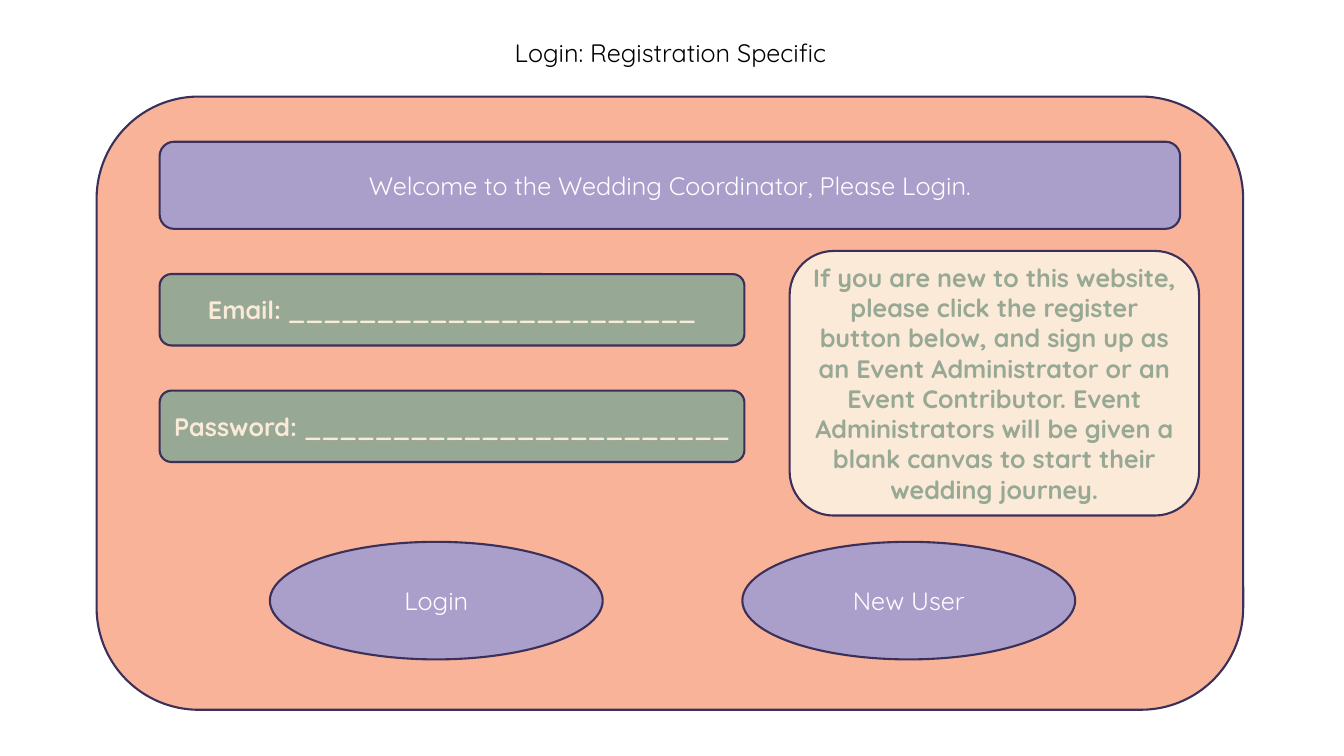
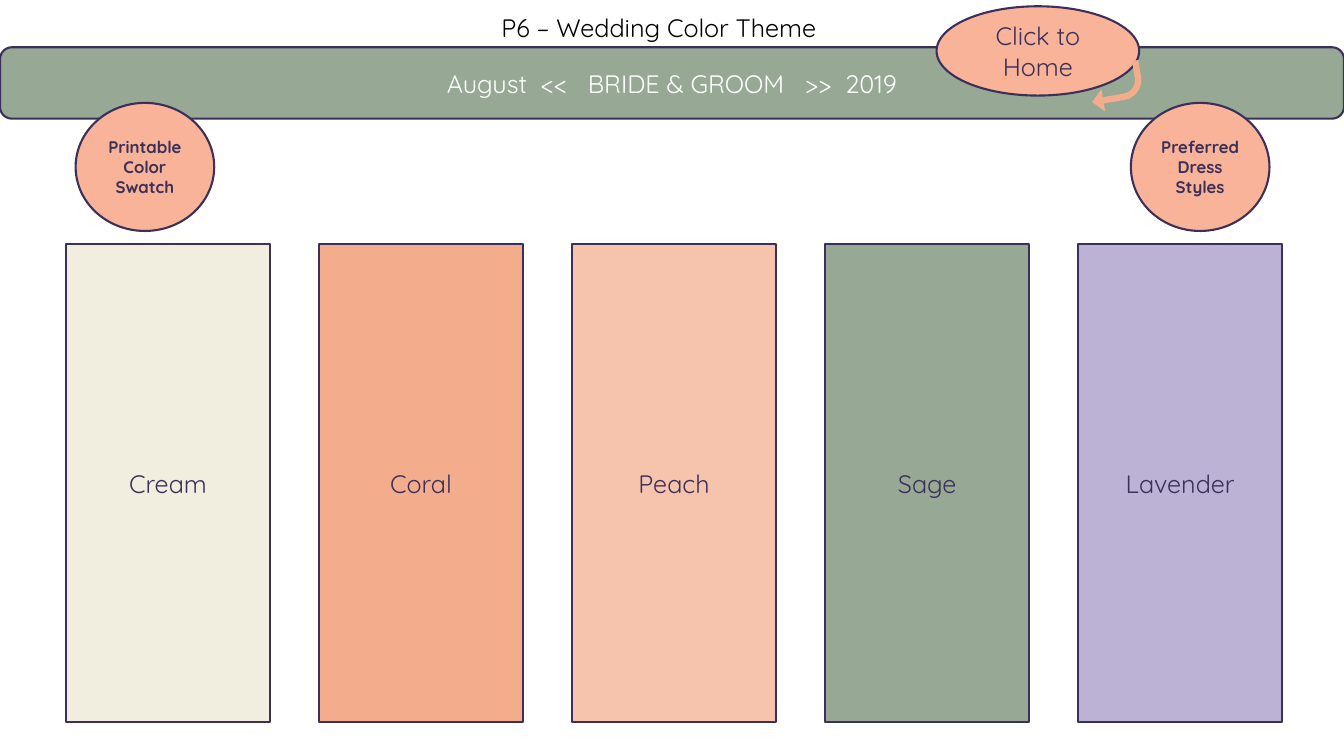
import dataclasses

import pptx
import pptx.dml.color
import pptx.enum.shapes
import pptx.enum.text
import pptx.util

PX = 9525  # EMU in one px; the slide is 1280 x 720 px
ROUNDED = pptx.enum.shapes.MSO_SHAPE.ROUNDED_RECTANGLE
OVAL = pptx.enum.shapes.MSO_SHAPE.OVAL
RECTANGLE = pptx.enum.shapes.MSO_SHAPE.RECTANGLE
BENT_ARROW = pptx.enum.shapes.MSO_SHAPE.BENT_ARROW
MIDDLE = pptx.enum.text.MSO_ANCHOR.MIDDLE
TOP = pptx.enum.text.MSO_ANCHOR.TOP


@dataclasses.dataclass(frozen=True)
class Theme:
    font: str = "Quicksand"
    body: int = 18
    small: int = 12
    outline: float = 1.5
    ink: str = "3B3059"
    black: str = "000000"
    white: str = "FFFFFF"
    salmon: str = "F8B399"
    violet: str = "AA9ECB"
    sage: str = "97A995"
    ivory: str = "FBEAD8"
    cream: str = "F1EEDF"
    coral: str = "F3AD8D"
    peach: str = "F6C3AC"
    lavender: str = "BBB2D6"


theme = Theme()


def write(shape, text, color=theme.ink, size=theme.body, bold=False, anchor=MIDDLE):
    frame = shape.text_frame
    frame.word_wrap = True
    frame.vertical_anchor = anchor
    frame.text = text
    for paragraph in frame.paragraphs:
        paragraph.alignment = pptx.enum.text.PP_ALIGN.CENTER
        for run in paragraph.runs:
            run.font.name = theme.font
            run.font.size = pptx.util.Pt(size)
            run.font.bold = bold
            run.font.color.rgb = pptx.dml.color.RGBColor.from_string(color)


def add_block(slide, kind, box, fill, outlined=True):
    shape = slide.shapes.add_shape(kind, *(length * PX for length in box))
    shape.shadow.inherit = False
    shape.fill.solid()
    shape.fill.fore_color.rgb = pptx.dml.color.RGBColor.from_string(fill)
    if outlined:
        shape.line.color.rgb = pptx.dml.color.RGBColor.from_string(theme.ink)
        shape.line.width = pptx.util.Pt(theme.outline)
    else:
        shape.line.fill.background()
    return shape


deck = pptx.Presentation()
deck.slide_width = 1280 * PX
deck.slide_height = 720 * PX

# Slides and their titles
for heading, left, top in (
    ("Login: Registration Specific", 72, 31),
    ("P6 – Wedding Color Theme", 61, 7),
):
    title = deck.slides.add_slide(deck.slide_layouts[5]).shapes.title
    title.left, title.top = left * PX, top * PX
    title.width, title.height = 1133 * PX, 38 * PX
    write(title, heading, color=theme.black, anchor=TOP)
    title.text_frame.auto_size = pptx.enum.text.MSO_AUTO_SIZE.SHAPE_TO_FIT_TEXT
login_page, color_page = deck.slides

# Login: card and welcome banner
add_block(login_page, ROUNDED, (92, 92, 1092, 584), theme.salmon)
welcome = add_block(login_page, ROUNDED, (152, 135, 972, 83), theme.violet)
write(welcome, "Welcome to the Wedding Coordinator, Please Login.", color=theme.white)

# Login: entry fields
for row, label in enumerate((
    "Email: _______________________",
    "Password: ________________________",
)):
    field = add_block(login_page, ROUNDED, (152, 261 + 111 * row, 557, 68), theme.sage)
    write(field, label, color=theme.ivory, bold=True)

# Login: buttons
for left, label in ((257, "Login"), (707, "New User")):
    button = add_block(login_page, OVAL, (left, 516, 317, 112), theme.violet)
    write(button, label, color=theme.white)

# Login: advice for new users
advice = add_block(login_page, ROUNDED, (752, 239, 390, 252), theme.ivory)
write(
    advice,
    "If you are new to this website, please click the register button below, "
    "and sign up as an Event Administrator or an Event Contributor. "
    "Event Administrators will be given a blank canvas to start their wedding journey.",
    color=theme.sage,
    bold=True,
)

# Color theme: date band
band = add_block(color_page, ROUNDED, (0, 45, 1280, 68), theme.sage)
write(band, "August  <<   BRIDE & GROOM   >>  2019", color=theme.white)

# Color theme: home button and its arrow
home = add_block(color_page, OVAL, (892, 6, 193, 85), theme.salmon)
write(home, "Click to Home")
home_arrow = add_block(color_page, BENT_ARROW, (1038, 61, 50, 43), theme.coral, outlined=False)
home_arrow.rotation = 170.3
for index, value in enumerate((0.14, 0.25, 0.25, 0.44)):
    home_arrow.adjustments[index] = value

# Color theme: round links
for left, label in ((1077, "Preferred\nDress Styles"), (72, "Printable Color Swatch")):
    link = add_block(color_page, OVAL, (left, 98, 132, 122), theme.salmon)
    write(link, label, size=theme.small, bold=True)

# Color theme: swatches
for column, (name, fill) in enumerate((
    ("Cream", theme.cream),
    ("Coral", theme.coral),
    ("Peach", theme.peach),
    ("Sage", theme.sage),
    ("Lavender", theme.lavender),
)):
    swatch = add_block(color_page, RECTANGLE, (63 + 241 * column, 232, 194, 456), fill)
    write(swatch, name)

deck.save("out.pptx")
